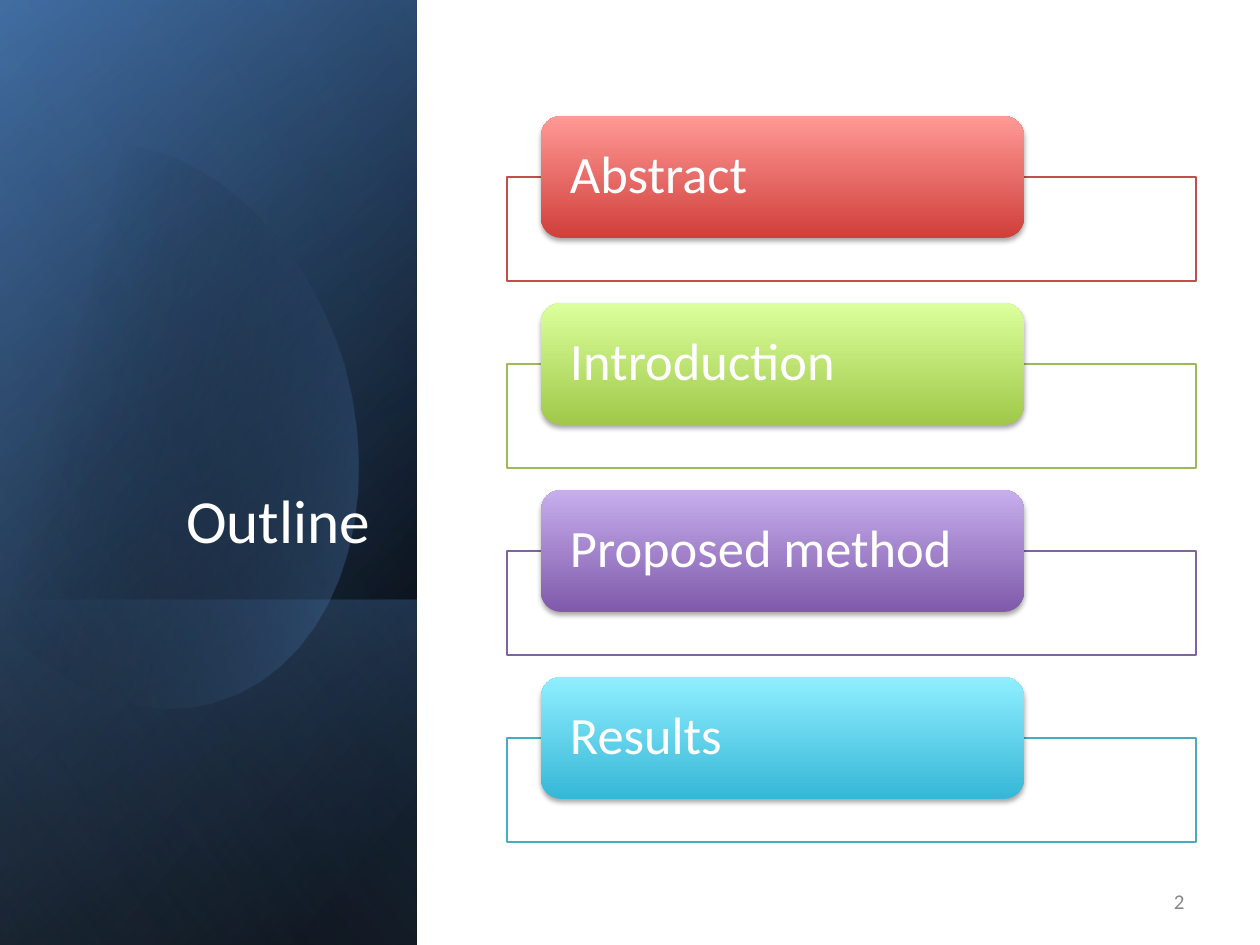
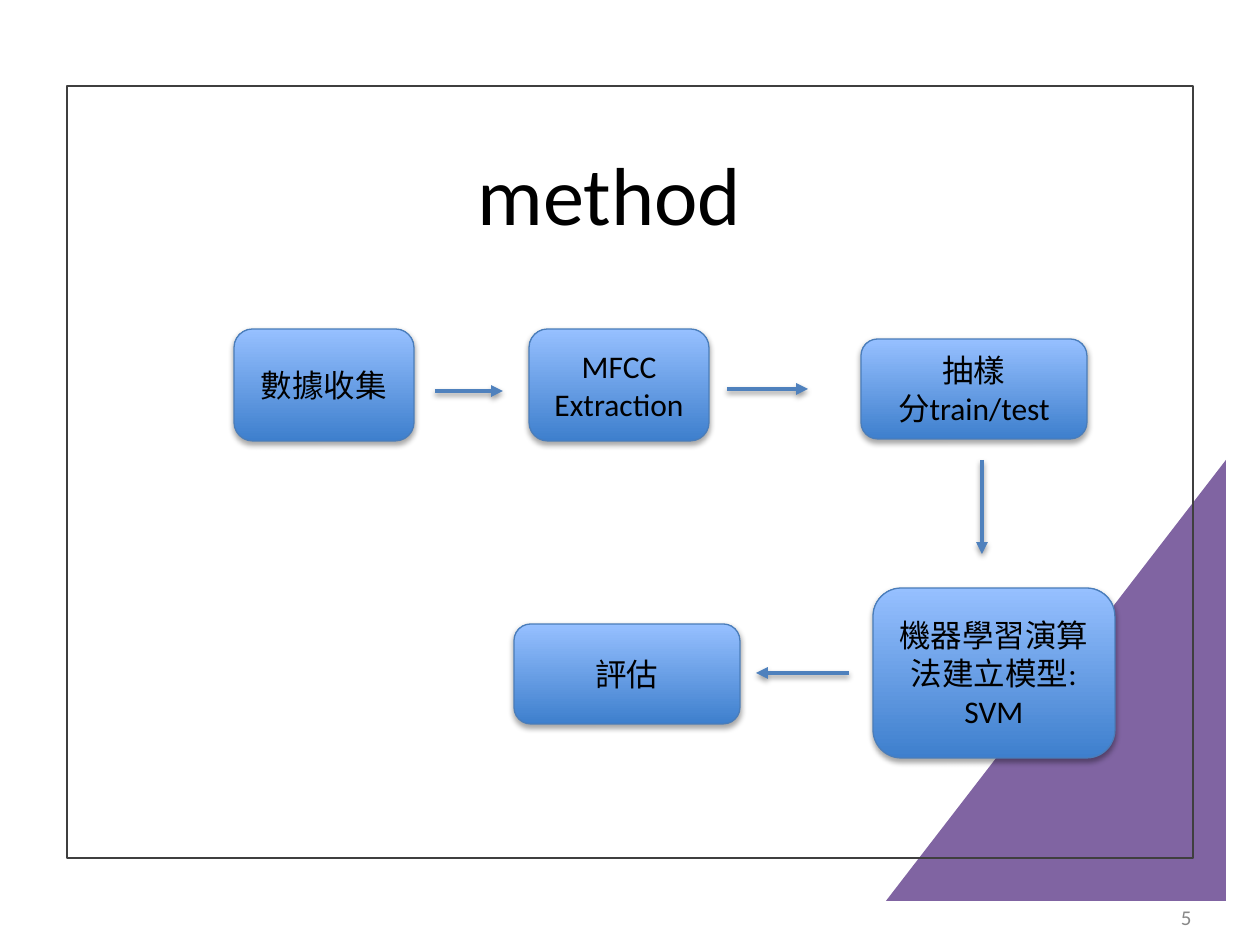
from lxml import etree
from pptx import Presentation
from pptx.dml.color import RGBColor
from pptx.enum.shapes import MSO_CONNECTOR, MSO_SHAPE
from pptx.enum.text import MSO_ANCHOR, MSO_AUTO_SIZE, PP_ALIGN
from pptx.oxml.ns import qn
from pptx.util import Emu, Pt

RECTANGLE = MSO_SHAPE.RECTANGLE
ROUNDED = MSO_SHAPE.ROUNDED_RECTANGLE
TRIANGLE = MSO_SHAPE.RIGHT_TRIANGLE
STRAIGHT = MSO_CONNECTOR.STRAIGHT
LEFT, CENTER, RIGHT = PP_ALIGN.LEFT, PP_ALIGN.CENTER, PP_ALIGN.RIGHT
MIDDLE, BOTTOM = MSO_ANCHOR.MIDDLE, MSO_ANCHOR.BOTTOM
NO_AUTOFIT = MSO_AUTO_SIZE.NONE

EMU_PER_PX = 914400 / 126
PAGE_WIDTH, PAGE_HEIGHT = 1260, 945
TITLE_ONLY = 5
FONT = "Calibri"
BLACK, WHITE, GRAY, DARK = "000000", "FFFFFF", "888888", "3F3F3F"
BLUE, NAVY, PALE_BLUE, PURPLE = "4F81BD", "366092", "93B3D7", "8064A2"
NODE_LINE, NODE_DARK, NODE_LIGHT = "4A7DBA", "3E7FCD", "96C0FF"
UPWARD = 270

OUTLINE = [
    ("Abstract", "BF504D", "D03F3B", "FF9995"),
    ("Introduction", "9BBB59", "A0C94A", "DBFF9C"),
    ("Proposed method", PURPLE, "7F5AAB", "C7AEED"),
    ("Results", "49ACC5", "36B7D7", "90EFFF"),
]
FLOW_NODES = [
    ("數據收集", (167, 243, 180, 112)),
    ("MFCC Extraction", (462, 243, 180, 112)),
    ("抽樣\n分train/test", (794, 253, 226, 100)),
    ("機器學習演算法建立模型:\nSVM", (806, 502, 242, 170)),
    ("評估", (447, 538, 226, 100)),
]
FLOW_ARROWS = [
    (368, 305, 436, 305),
    (660, 303, 741, 303),
    (915, 374, 915, 468),
    (782, 587, 689, 587),
]
OVAL_START = (121, 144)
OVAL_CURVES = [
    ((215, 154), (307, 242), (344, 365)),
    ((387, 519), (330, 669), (215, 702)),
    ((144, 723), (67, 693), (9, 630)),
    ((5, 625), (0, 620), (-4, 615)),
    ((-13, 480), (-22, 344), (-32, 209)),
    ((-28, 204), (-23, 199), (-19, 194)),
    ((3, 173), (28, 158), (57, 149)),
    ((78, 142), (100, 141), (121, 144)),
]


def px(length):
    return Emu(round(length * EMU_PER_PX))


def color(value):
    return RGBColor.from_string(value)


def inside(box, part):
    return box[0] + part[0], box[1] + part[1], part[2], part[3]


def place(shape, box):
    shape.left, shape.top, shape.width, shape.height = map(px, box)


def add_box(page, kind, box, fill=None, line=None, weight=0.75):
    shape = page.shapes.add_shape(kind, *map(px, box))
    style(shape, fill, line, weight)
    return shape


def style(shape, fill=None, line=None, weight=0.75):
    shape.shadow.inherit = False
    if fill:
        shape.fill.solid()
        shape.fill.fore_color.rgb = color(fill)
    else:
        shape.fill.background()
    if line:
        shape.line.color.rgb = color(line)
        shape.line.width = Pt(weight)
    else:
        shape.line.fill.background()


def set_gradient(shape, stops, angle):
    shape.fill.background()
    gradient = etree.Element(qn("a:gradFill"), rotWithShape="1")
    stop_list = etree.SubElement(gradient, qn("a:gsLst"))
    for position, value, opacity in stops:
        stop = etree.SubElement(stop_list, qn("a:gs"), pos=str(position * 1000))
        tint = etree.SubElement(stop, qn("a:srgbClr"), val=value)
        if opacity < 100:
            etree.SubElement(tint, qn("a:alpha"), val=str(opacity * 1000))
    etree.SubElement(gradient, qn("a:lin"), ang=str(angle * 60000), scaled="0")
    properties = shape.element.spPr
    properties.replace(properties.find(qn("a:noFill")), gradient)


def add_shadow(shape, opacity, distance):
    properties = shape.element.spPr
    effects = properties.find(qn("a:effectLst"))
    if effects is None:
        effects = etree.SubElement(properties, qn("a:effectLst"))
    shadow = etree.SubElement(effects, qn("a:outerShdw"), blurRad="40000",
                              dist=str(distance), dir="5400000", rotWithShape="0")
    tint = etree.SubElement(shadow, qn("a:srgbClr"), val=BLACK)
    etree.SubElement(tint, qn("a:alpha"), val=str(opacity * 1000))


def write(shape, text, size, value, align, anchor=MIDDLE, spacing=None):
    frame = shape.text_frame
    frame.text = text
    frame.word_wrap = True
    frame.auto_size = NO_AUTOFIT
    frame.vertical_anchor = anchor
    for para in frame.paragraphs:
        para.alignment = align
        para.line_spacing = spacing
        para.font.name = FONT
        para.font.size = Pt(size)
        para.font.color.rgb = color(value)


def add_title(page, box, text, size, value, align, anchor):
    title = page.shapes.title
    place(title, box)
    write(title, text, size, value, align, anchor)
    page.shapes.element.append(title.element)


def add_page_number(page, box, number):
    write(page.shapes.add_textbox(*map(px, box)), number, 12, GRAY, RIGHT)


def add_gradient_card(page, box, dark, light, line=None):
    card = add_box(page, ROUNDED, box, line=line)
    set_gradient(card, [(0, dark, 100), (100, light, 100)], UPWARD)
    add_shadow(card, 35, 23000)
    return card


def add_turned_panel(page, box, stops, angle):
    left, top, width, height = box
    shift = (width - height) / 2
    panel = add_box(page, RECTANGLE, (left + shift, top - shift, height, width))
    panel.rotation = 90
    panel.element.spPr.xfrm.set("flipH", "1")
    set_gradient(panel, stops, angle)


def curve_points(start, curves, steps=14):
    for first, second, end in curves:
        for step in range(1, steps + 1):
            t = step / steps
            weights = ((1 - t) ** 3, 3 * t * (1 - t) ** 2, 3 * t * t * (1 - t), t ** 3)
            yield tuple(
                round(sum(w * point[axis] for w, point in
                          zip(weights, (start, first, second, end))) * EMU_PER_PX)
                for axis in (0, 1))
        start = end


def add_oval(page):
    builder = page.shapes.build_freeform(*map(px, OVAL_START), scale=1.0)
    builder.add_line_segments(list(curve_points(OVAL_START, OVAL_CURVES)), close=True)
    oval = builder.convert_to_shape()
    style(oval)
    set_gradient(oval, [(0, BLACK, 0), (29, BLACK, 0), (100, BLUE, 43)], 14)


def add_side_band(page, box):
    base = [(0, BLACK, 100), (8, BLACK, 100), (100, NAVY, 100)]
    glow = [(0, BLACK, 0), (99, BLUE, 46), (100, BLUE, 46)]
    foot = [(0, BLUE, 29), (2, BLUE, 29), (100, BLACK, 30)]
    sheen = [(0, BLACK, 0), (99, PALE_BLUE, 11), (100, PALE_BLUE, 11)]
    add_turned_panel(page, box, base, 50)
    add_turned_panel(page, box, glow, 30)
    add_turned_panel(page, inside(box, (0, 600, box[2], box[3] - 600)), foot, 130)
    add_oval(page)
    add_turned_panel(page, box, sheen, 120)


def add_outline_list(page, box):
    for index, (label, line, dark, light) in enumerate(OUTLINE):
        top = 187 * index
        add_box(page, RECTANGLE, inside(box, (0, top + 61, box[2], 104)), WHITE, line)
        card = add_gradient_card(page, inside(box, (34, top, 483, 122)), dark, light)
        card.text_frame.margin_left = px(23)
        write(card, label, 30, WHITE, LEFT, spacing=0.9)


def add_arrow(page, start_x, start_y, end_x, end_y):
    arrow = page.shapes.add_connector(STRAIGHT, *map(px, (start_x, start_y, end_x, end_y)))
    arrow.line.color.rgb = color(BLUE)
    arrow.line.width = Pt(2.25)
    etree.SubElement(arrow.element.spPr.find(qn("a:ln")), qn("a:tailEnd"), type="triangle")
    add_shadow(arrow, 38, 20000)


def add_flow(page, box):
    left, top = box[:2]
    for label, part in FLOW_NODES:
        node = add_gradient_card(page, inside(box, part), NODE_DARK, NODE_LIGHT, NODE_LINE)
        write(node, label, 18, BLACK, CENTER)
    for start_x, start_y, end_x, end_y in FLOW_ARROWS:
        add_arrow(page, left + start_x, top + start_y, left + end_x, top + end_y)


def add_outline_page(deck):
    page = deck.slides.add_slide(deck.slide_layouts[TITLE_ONLY])
    add_side_band(page, (0, 0, 417, PAGE_HEIGHT))
    add_title(page, (60, 232, 323, 330), "Outline", 35, WHITE, RIGHT, BOTTOM)
    add_outline_list(page, (507, 116, 689, 727))
    add_page_number(page, (903, 876, 294, 50), "2")


def add_method_page(deck):
    page = deck.slides.add_slide(deck.slide_layouts[TITLE_ONLY])
    frame = (67, 86, 1126, 772)
    corner = add_box(page, TRIANGLE, (886, 460, 340, 441), PURPLE)
    corner.element.spPr.xfrm.set("flipH", "1")
    add_box(page, RECTANGLE, frame, line=DARK, weight=1.5)
    add_title(page, (120, 115, 979, 156), "method", 47, BLACK, CENTER, MIDDLE)
    add_page_number(page, (910, 892, 294, 50), "5")
    add_flow(page, frame)


def main():
    deck = Presentation()
    deck.slide_width, deck.slide_height = px(PAGE_WIDTH), px(PAGE_HEIGHT)
    add_outline_page(deck)
    add_method_page(deck)
    deck.save("out.pptx")


if __name__ == "__main__":
    main()
